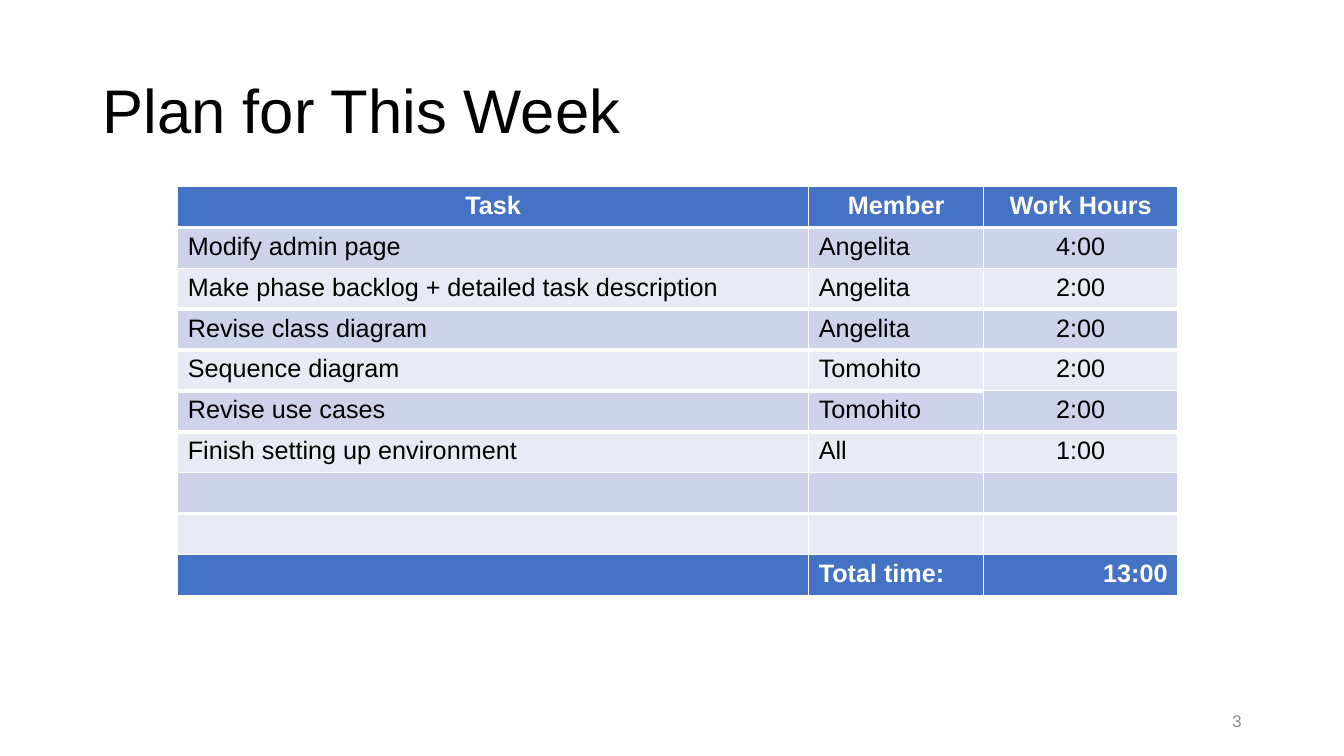
from dataclasses import dataclass

from lxml.etree import SubElement
from pptx import Presentation
from pptx.dml.color import RGBColor
from pptx.enum.text import MSO_ANCHOR, MSO_AUTO_SIZE, PP_ALIGN
from pptx.oxml.ns import qn
from pptx.util import Cm, Pt


@dataclass(frozen=True)
class Theme:
    font: str = "Arial"
    title_size: int = 44
    table_size: int = 18
    number_size: int = 12
    text: str = "000000"
    light: str = "FFFFFF"
    muted: str = "888888"
    accent: str = "4472C4"
    bands: tuple = ("E8EBF5", "CDD4EA")
    thin: int = 1
    thick: int = 3


THEME = Theme()
LEFT, CENTER, RIGHT = PP_ALIGN.LEFT, PP_ALIGN.CENTER, PP_ALIGN.RIGHT

PLAN = [
    ("Task", "Member", "Work Hours"),
    ("Modify admin page", "Angelita", "4:00"),
    ("Make phase backlog + detailed task description", "Angelita", "2:00"),
    ("Revise class diagram", "Angelita", "2:00"),
    ("Sequence diagram", "Tomohito", "2:00"),
    ("Revise use cases", "Tomohito", "2:00"),
    ("Finish setting up environment", "All", "1:00"),
    ("", "", ""),
    ("", "", ""),
    ("", "Total time:", "13:00"),
]
COLUMN_SHARES = (0.631, 0.175, 0.194)
THICK_BELOW = {0, 2, 3, 4, 5, 7}
THIN_EXCEPTIONS = {(4, 2)}


def write(tf, text, size, color, align=LEFT, bold=False):
    tf.text = text
    p = tf.paragraphs[0]
    p.alignment = align
    p.font.size = Pt(size)
    for r in p.runs:
        r.font.name = THEME.font
        r.font.size = Pt(size)
        r.font.bold = bold
        r.font.color.rgb = RGBColor.from_string(color)


def add_title(s, text, x, y, w, h):
    sp = s.shapes.title
    sp.left, sp.top, sp.width, sp.height = Cm(x), Cm(y), Cm(w), Cm(h)
    tf = sp.text_frame
    tf.auto_size = MSO_AUTO_SIZE.NONE
    tf.vertical_anchor = MSO_ANCHOR.MIDDLE
    write(tf, text, THEME.title_size, THEME.text)
    tf.paragraphs[0].line_spacing = 0.9


def border_width(row, col):
    thick = row in THICK_BELOW and (row, col) not in THIN_EXCEPTIONS
    return THEME.thick if thick else THEME.thin


def set_borders(cell, row, col):
    widths = {
        "a:lnL": THEME.thin,
        "a:lnR": THEME.thin,
        "a:lnT": border_width(row - 1, col),
        "a:lnB": border_width(row, col),
    }
    tc_pr = cell._tc.get_or_add_tcPr()
    for tag, width in widths.items():
        ln = SubElement(tc_pr, qn(tag), w=str(Pt(width)))
        fill = SubElement(ln, qn("a:solidFill"))
        SubElement(fill, qn("a:srgbClr"), val=THEME.light)


def cell_align(row, col):
    if row == 0:
        return CENTER
    if col < 2:
        return LEFT
    return RIGHT if row == len(PLAN) - 1 else CENTER


def add_plan_table(s, x, y, w, h):
    shape = s.shapes.add_table(len(PLAN), len(PLAN[0]), Cm(x), Cm(y), Cm(w), Cm(h))
    table = shape.table
    for column, share in zip(table.columns, COLUMN_SHARES):
        column.width = Cm(w * share)
    for i, values in enumerate(PLAN):
        table.rows[i].height = Cm(h / len(PLAN))
        strong = i in (0, len(PLAN) - 1)
        color = THEME.light if strong else THEME.text
        back = THEME.accent if strong else THEME.bands[i % 2]
        for j, value in enumerate(values):
            cell = table.cell(i, j)
            set_borders(cell, i, j)
            cell.fill.solid()
            cell.fill.fore_color.rgb = RGBColor.from_string(back)
            write(cell.text_frame, value, THEME.table_size, color,
                  cell_align(i, j), strong)


def add_page_number(s, number, x, y, w, h):
    sp = s.shapes.add_textbox(Cm(x), Cm(y), Cm(w), Cm(h))
    tf = sp.text_frame
    tf.word_wrap = True
    tf.vertical_anchor = MSO_ANCHOR.MIDDLE
    write(tf, number, THEME.number_size, THEME.muted, RIGHT)


def main():
    prs = Presentation()
    prs.slide_width, prs.slide_height = Cm(33.87), Cm(19.05)
    s = prs.slides.add_slide(prs.slide_layouts[5])
    add_title(s, "Plan for This Week", 2.33, 1.02, 29.21, 3.68)
    add_plan_table(s, 4.48, 4.7, 25.2, 10.3)
    add_page_number(s, "3", 23.92, 17.66, 7.62, 1.01)
    prs.save("out.pptx")


if __name__ == "__main__":
    main()
